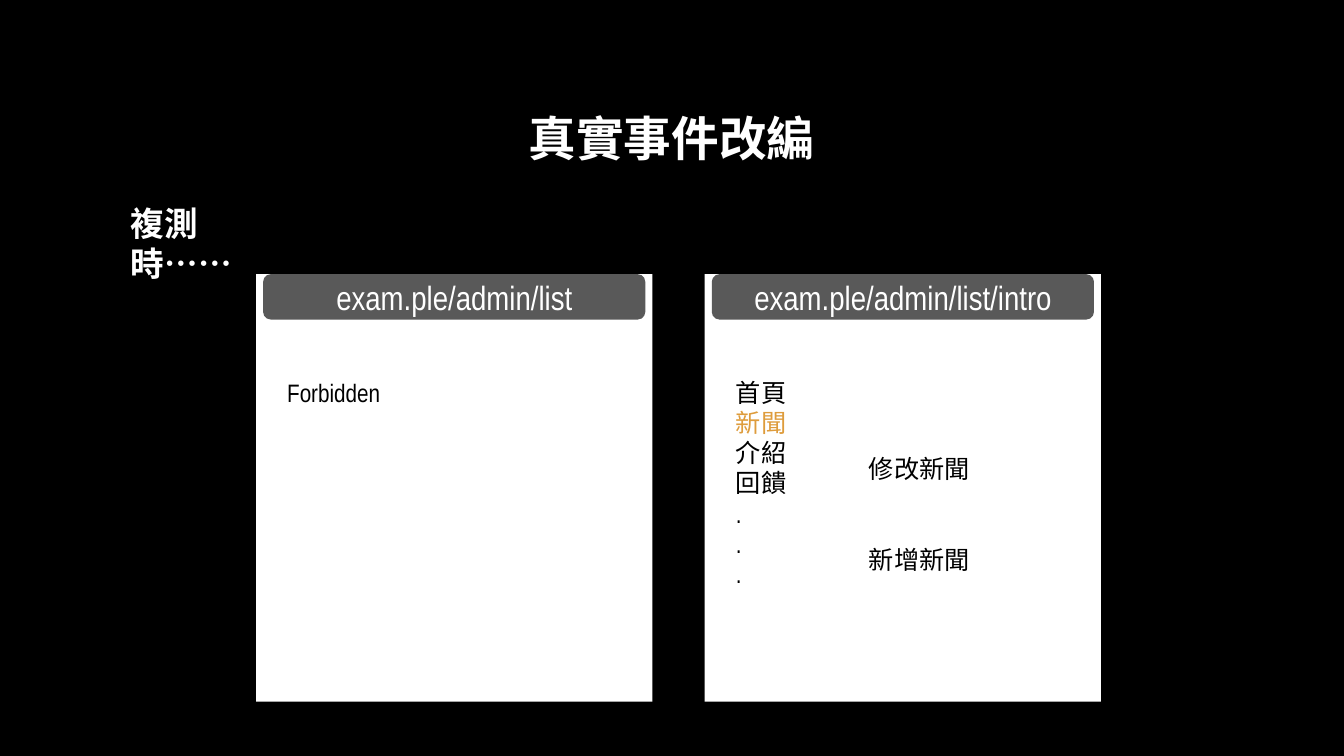
from pptx import Presentation
from pptx.dml.color import RGBColor
from pptx.enum import shapes, text
from pptx.util import Inches, Pt

TITLE = "真實事件改編"
LABEL = "複測時……"
WHITE, BLACK, GREY, GOLD = "FFFFFF", "000000", "595959", "DE9C3C"
WINDOWS = [
    ("exam.ple/admin/list", ["Forbidden"], 1.14, 0.4),
    ("exam.ple/admin/list/intro", ["首頁", "新聞", "介紹", "回饋", ".", ".", "."], 0.71, 2.22),
]
SELECTED = "新聞"
ACTIONS = ["修改新聞", "新增新聞"]
LEFT, TOP, WIDTH, HEIGHT, STEP = 2.54, 2.72, 3.93, 4.24, 4.45


def rgb(value):
    return RGBColor.from_string(value)


def write(sp, lines, size, font, color, bold=False, align=None, wrap=False):
    tf = sp.text_frame
    tf.text = "\n".join(lines)
    tf.word_wrap = wrap
    for p in tf.paragraphs:
        p.alignment = align
        for r in p.runs:
            r.font.size = Pt(size)
            r.font.name = font
            r.font.bold = bold
            r.font.color.rgb = rgb(GOLD if r.text == SELECTED else color)
    return tf


def add_box(group, kind, x, y, w, h, fill):
    sp = group.shapes.add_shape(kind, Inches(x), Inches(y), Inches(w), Inches(h))
    sp.shadow.inherit = False
    sp.fill.solid()
    sp.fill.fore_color.rgb = rgb(fill)
    sp.line.fill.background()
    return sp


def add_text(slide, x, y, w, h, *args, **kwargs):
    sp = slide.shapes.add_textbox(Inches(x), Inches(y), Inches(w), Inches(h))
    return write(sp, *args, **kwargs)


prs = Presentation()
prs.slide_width, prs.slide_height = Inches(13.33), Inches(7.5)
s = prs.slides.add_slide(prs.slide_layouts[5])
s.background.fill.solid()
s.background.fill.fore_color.rgb = rgb(BLACK)

title = s.shapes.title
title.left, title.top, title.width, title.height = map(Inches, (1, 0.67, 11.32, 1.45))
tf = write(title, [TITLE], 34, "Noto Sans CJK SC", WHITE, True, text.PP_ALIGN.CENTER, True)
tf.vertical_anchor = text.MSO_ANCHOR.MIDDLE
tf.paragraphs[0].line_spacing = 0.9

RECT, ROUND = shapes.MSO_SHAPE.RECTANGLE, shapes.MSO_SHAPE.ROUNDED_RECTANGLE
for i, (address, lines, w, h) in enumerate(WINDOWS):
    x = LEFT + i * STEP
    window = s.shapes.add_group_shape()
    add_box(window, RECT, x, TOP, WIDTH, HEIGHT, WHITE)
    bar = add_box(window, ROUND, x + 0.07, TOP, WIDTH - 0.14, 0.45, GREY)
    tf = write(bar, [address], 24, "Arial Narrow", WHITE, align=text.PP_ALIGN.CENTER, wrap=True)
    tf.vertical_anchor = text.MSO_ANCHOR.MIDDLE
    body = add_box(window, RECT, x + 0.21, TOP + 0.97, w, h, WHITE)
    tf = write(body, lines, 18, "Arial Narrow", BLACK, align=text.PP_ALIGN.LEFT)
    tf.vertical_anchor = text.MSO_ANCHOR.TOP

tf = add_text(s, 8.52, 4.45, 1.21, 1.31, ACTIONS, 18, "Roboto Slab", BLACK)
tf.paragraphs[1].space_before = Pt(43)
add_text(s, 1.2, 1.96, 1.76, 0.5, [LABEL], 24, "Noto Sans CJK SC", WHITE, True, wrap=True)

prs.save("out.pptx")
